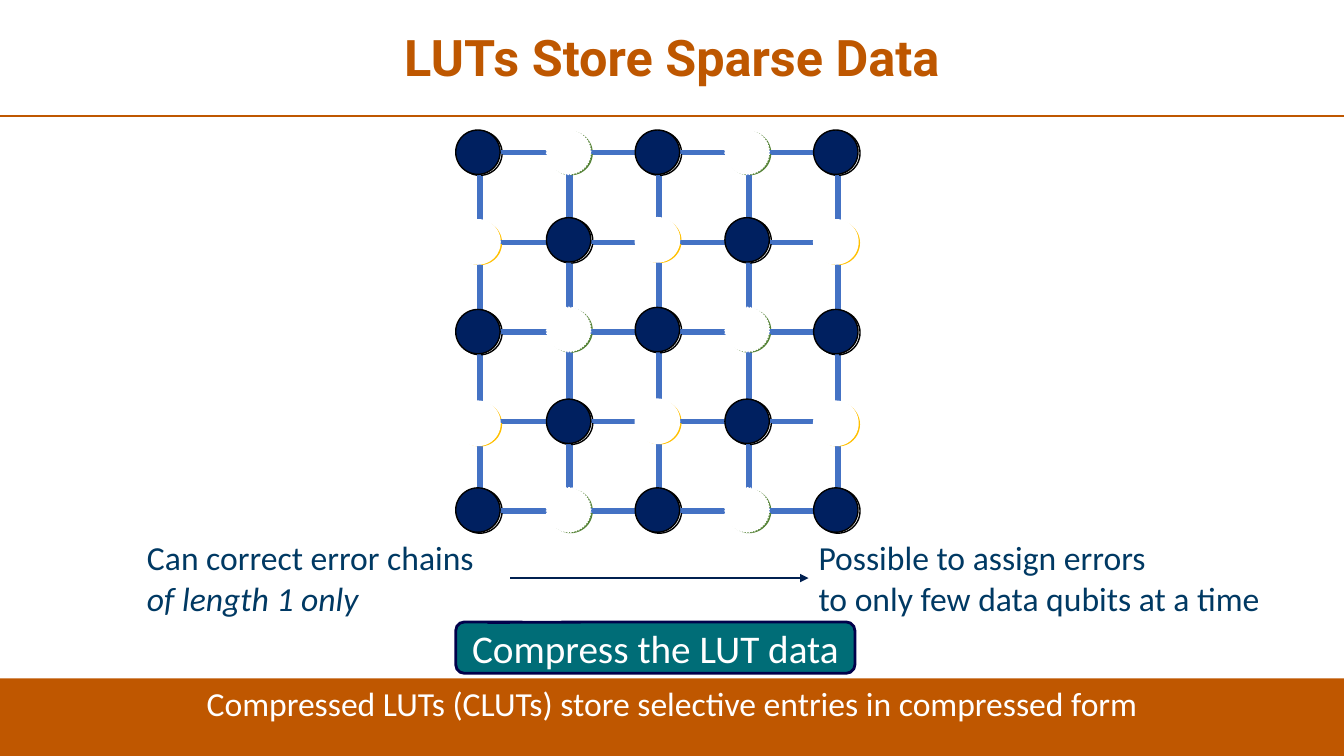
import lxml.etree
import pptx
import pptx.dml.color
import pptx.enum.dml
import pptx.enum.shapes
import pptx.enum.text
import pptx.oxml.ns
import pptx.util

RGBColor = pptx.dml.color.RGBColor
Shape = pptx.enum.shapes.MSO_SHAPE
Align = pptx.enum.text.PP_ALIGN
Anchor = pptx.enum.text.MSO_ANCHOR

TITLE_ORANGE = RGBColor(0xBE, 0x57, 0x00)
ORANGE = RGBColor(0xBF, 0x57, 0x00)
WHITE = RGBColor(0xFF, 0xFF, 0xFF)
BLACK = RGBColor(0x00, 0x00, 0x00)
TEXT_BLUE = RGBColor(0x00, 0x39, 0x63)
ARROW_BLUE = RGBColor(0x00, 0x20, 0x50)
TEAL = RGBColor(0x00, 0x6D, 0x77)
CALLOUT_EDGE = RGBColor(0x01, 0x01, 0x4B)
LINK_BLUE = RGBColor(0x44, 0x72, 0xC4)
QUBIT_NAVY = RGBColor(0x00, 0x20, 0x60)
YELLOW = RGBColor(0xFF, 0xC0, 0x00)
GREEN = RGBColor(0x54, 0x82, 0x35)

CELL = 8.89
QUBIT_SIZE = 4.4
QUBIT_COLUMNS = (45.2, 54.2, 63, 71.9, 80.7)
EDGE_ROWS = (12.9, 21.8, 30.7, 39.8, 48.4)
INNER_ROWS = (12.9, 21.6, 30.5, 39.6, 48.4)


def write(box, *lines, size=24, font="Calibri", color=WHITE, bold=None,
          align=None, anchor=Anchor.TOP, spacing=None, italic_lines=()):
    frame = box.text_frame
    frame.word_wrap = True
    frame.vertical_anchor = anchor
    for index, line in enumerate(lines):
        para = frame.add_paragraph() if index else frame.paragraphs[0]
        para.alignment = align
        para.line_spacing = spacing
        span = para.add_run()
        span.text = line
        span.font.size = pptx.util.Pt(size)
        span.font.name = font
        span.font.color.rgb = color
        span.font.bold = bold
        span.font.italic = True if index in italic_lines else None


class SlideBuilder:
    """Draws on one slide using a square grid of 75 rows per slide height."""

    def __init__(self, deck):
        self.page = deck.slides.add_slide(deck.slide_layouts[6])
        self.unit = deck.slide_height / 75
        self.columns = deck.slide_width / self.unit

    def span(self, *cells):
        return [round(cell * self.unit) for cell in cells]

    def text(self, left, top, width, height, *lines, grow=False, **style):
        box = self.page.shapes.add_textbox(*self.span(left, top, width, height))
        write(box, *lines, **style)
        if grow:
            box.text_frame.auto_size = pptx.enum.text.MSO_AUTO_SIZE.SHAPE_TO_FIT_TEXT
        return box

    def shape(self, kind, left, top, width, height, fill=None, line=None,
              weight=1, dash=None, parent=None):
        owner = parent or self.page
        item = owner.shapes.add_shape(kind, *self.span(left, top, width, height))
        item.shadow.inherit = False
        if fill is None:
            item.fill.background()
        else:
            item.fill.solid()
            item.fill.fore_color.rgb = fill
        if line is None:
            item.line.fill.background()
        else:
            item.line.color.rgb = line
            item.line.width = pptx.util.Pt(weight)
            item.line.dash_style = dash
        return item

    def line(self, start, end, color, weight, arrow=False):
        item = self.page.shapes.add_connector(
            pptx.enum.shapes.MSO_CONNECTOR.STRAIGHT, *self.span(*start, *end))
        item.line.color.rgb = color
        item.line.width = pptx.util.Pt(weight)
        qn = pptx.oxml.ns.qn
        if arrow:
            lxml.etree.SubElement(item.line._get_or_add_ln(), qn("a:tailEnd"), type="triangle")
        lxml.etree.SubElement(item._element.spPr, qn("a:effectLst"))
        return item

    def lattice(self, shift_x, shift_y, front):
        group = self.page.shapes.add_group_shape()
        for column in range(4):
            for row in range(4):
                self.shape(Shape.RECTANGLE, 47.5 + CELL * column + shift_x,
                           15.1 + CELL * row + shift_y, CELL, CELL,
                           line=LINK_BLUE, weight=3, parent=group)
        for column, left in enumerate(QUBIT_COLUMNS):
            tops = EDGE_ROWS if column in (0, 4) else INNER_ROWS
            for row, top in enumerate(tops):
                dash = None
                if (row + column) % 2 == 0:
                    fill, edge = QUBIT_NAVY if front else WHITE, BLACK
                elif front:
                    fill = edge = WHITE
                    if row % 2 == 0:
                        dash = pptx.enum.dml.MSO_LINE.ROUND_DOT
                else:
                    fill, edge = YELLOW if row % 2 else GREEN, None
                qubit = self.shape(Shape.FLOWCHART_CONNECTOR, left + shift_x, top + shift_y,
                                   QUBIT_SIZE, QUBIT_SIZE, fill, edge, dash=dash, parent=group)
                qubit.rotation = 90


def main():
    deck = pptx.Presentation()
    deck.slide_width = pptx.util.Inches(13.33)
    deck.slide_height = pptx.util.Inches(7.5)
    slide = SlideBuilder(deck)

    slide.text(0.9, 0.4, 131.5, 11.1, "LUTs Store Sparse Data", size=36, font="Roboto",
               color=TITLE_ORANGE, bold=True, align=Align.CENTER,
               anchor=Anchor.MIDDLE, spacing=0.9)
    slide.line((0, 11.5), (slide.columns, 11.5), ORANGE, 1.5)

    footer = slide.shape(Shape.RECTANGLE, 0, 67.3, slide.columns, 8, ORANGE)
    write(footer, "Compressed LUTs (CLUTs) store selective entries in compressed form",
          align=Align.CENTER)

    cause = slide.text(13.6, 52.8, 37, 9.1, "Can correct error chains", "of length 1 only",
                       color=TEXT_BLUE, italic_lines=(1,), grow=True)
    effect = slide.text(80.2, 52.8, 49.7, 9.1, "Possible to assign errors",
                        "to only few data qubits at a time", color=TEXT_BLUE, grow=True)
    arrow = slide.line((50.6, 57.4), (80.2, 57.4), ARROW_BLUE, 2, arrow=True)
    arrow.begin_connect(cause, 3)
    arrow.end_connect(effect, 1)

    callout = slide.shape(Shape.ROUNDED_RECTANGULAR_CALLOUT, 45.2, 61.7, 39.6, 5.1,
                          TEAL, CALLOUT_EDGE, 2)
    for index, value in enumerate((-0.42, -0.49, 0.17)):
        callout.adjustments[index] = value
    write(callout, "Compress the LUT data", size=28, align=Align.CENTER, anchor=Anchor.MIDDLE)

    slide.lattice(0.2, 0.1, front=False)
    slide.lattice(0, 0, front=True)
    deck.save("out.pptx")


if __name__ == "__main__":
    main()
